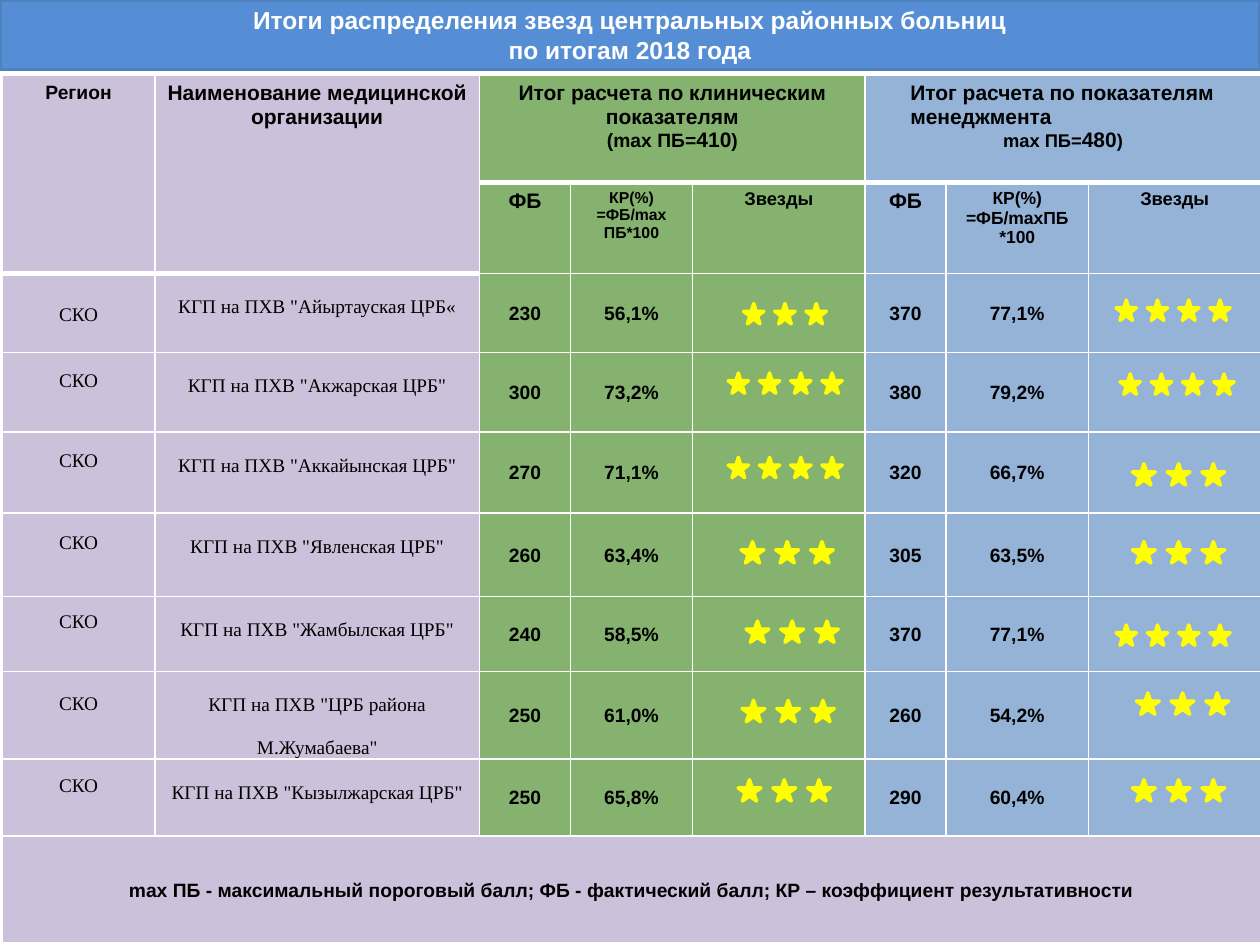
from dataclasses import dataclass

from lxml import etree
from pptx import Presentation
from pptx import util as u
from pptx.dml.color import RGBColor
from pptx.enum import shapes, text
from pptx.oxml.ns import qn

LILAC, GREEN, BLUE = "CCC1DA", "85B26E", "95B3D7"
WHITE, BLACK, YELLOW = "FFFFFF", "000000", "FFFF00"
SANS, SERIF = "Arial", "Times New Roman"
COLUMN_WIDTHS = (3.07, 6.55, 1.83, 2.46, 3.48, 1.63, 2.87, 3.48)
ROW_HEIGHTS = (2.16, 1.83, 1.6, 1.6, 1.63, 1.68, 1.52, 1.68, 1.55, 2.16)
COLUMN_FILLS = (LILAC,) * 2 + (GREEN,) * 3 + (BLUE,) * 3
HEADER_MARGINS = (0.25, 0.13, 0.25, 0.13)
REGION_MARGINS = (0.18, 0, 0.18, 0)
RAISED_MARGINS = (0.18, 0, 0.18, 0.54)
TIGHT_MARGINS = (0.03, 0.03, 0.03, 0)
MIDDLE, TOP = text.MSO_ANCHOR.MIDDLE, text.MSO_ANCHOR.TOP


@dataclass(frozen=True)
class Run:
    words: str
    size: float = 11
    font: str = SANS
    bold: bool = True
    color: str = BLACK


@dataclass(frozen=True)
class StarSize:
    width: float
    height: float
    step: float


SMALL = StarSize(0.41, 0.41, 0.63)
LARGE = StarSize(0.46, 0.43, 0.7)


@dataclass(frozen=True)
class Rating:
    """Score, percentage and row of stars; left and top are in centimetres."""
    score: str
    percent: str
    stars: int
    left: float
    top: float
    size: StarSize


@dataclass(frozen=True)
class Hospital:
    name: str
    clinical: Rating
    management: Rating


HOSPITALS = (
    Hospital('КГП на ПХВ "Айыртауская ЦРБ«',
             Rating("230", "56,1%", 3, 14.99, 6.12, SMALL),
             Rating("370", "77,1%", 4, 22.5, 6.05, SMALL)),
    Hospital('КГП на ПХВ "Акжарская ЦРБ"',
             Rating("300", "73,2%", 4, 14.68, 7.52, SMALL),
             Rating("380", "79,2%", 4, 22.58, 7.54, SMALL)),
    Hospital('КГП на ПХВ "Аккайынская ЦРБ"',
             Rating("270", "71,1%", 4, 14.68, 9.22, SMALL),
             Rating("320", "66,7%", 3, 22.83, 9.35, LARGE)),
    Hospital('КГП на ПХВ "Явленская ЦРБ"',
             Rating("260", "63,4%", 3, 14.94, 10.92, LARGE),
             Rating("305", "63,5%", 3, 22.83, 10.92, LARGE)),
    Hospital('КГП на ПХВ "Жамбылская ЦРБ"',
             Rating("240", "58,5%", 3, 15.04, 12.52, LARGE),
             Rating("370", "77,1%", 4, 22.5, 12.6, SMALL)),
    Hospital('КГП на ПХВ "ЦРБ района М.Жумабаева"',
             Rating("250", "61,0%", 3, 14.96, 14.12, LARGE),
             Rating("260", "54,2%", 3, 22.91, 13.97, LARGE)),
    Hospital('КГП на ПХВ "Кызылжарская ЦРБ"',
             Rating("250", "65,8%", 3, 14.88, 15.72, LARGE),
             Rating("290", "60,4%", 3, 22.83, 15.72, LARGE)),
)


def rgb(color: str) -> RGBColor:
    return RGBColor.from_string(color)


def paint(shape, fill: str, line: str) -> None:
    shape.shadow.inherit = False
    shape.fill.solid()
    shape.fill.fore_color.rgb = rgb(fill)
    shape.line.color.rgb = rgb(line)
    shape.line.width = u.Pt(2)


def add_run(paragraph, run: Run) -> None:
    piece = paragraph.add_run()
    piece.text = run.words
    piece.font.size = u.Pt(run.size)
    piece.font.name = run.font
    piece.font.bold = run.bold
    piece.font.color.rgb = rgb(run.color)


def write(cell, *lines: tuple[Run, ...], margins=HEADER_MARGINS, anchor=TOP, spacing=None) -> None:
    """Fill a cell with centred paragraphs, each given as its runs."""
    cell.margin_left, cell.margin_top, cell.margin_right, cell.margin_bottom = map(u.Cm, margins)
    cell.vertical_anchor = anchor
    for index, runs in enumerate(lines):
        frame = cell.text_frame
        paragraph = frame.add_paragraph() if index else frame.paragraphs[0]
        paragraph.alignment = text.PP_ALIGN.CENTER
        paragraph.line_spacing = spacing
        for run in runs:
            add_run(paragraph, run)


def style_cell(cell, fill: str, bottom_width: float) -> None:
    properties = cell._tc.get_or_add_tcPr()
    for side, width in (("L", 1), ("R", 1), ("T", 1), ("B", bottom_width)):
        border = etree.SubElement(properties, qn(f"a:ln{side}"), w=str(u.Pt(width)))
        solid = etree.SubElement(border, qn("a:solidFill"))
        etree.SubElement(solid, qn("a:srgbClr"), val=WHITE)
    cell.fill.solid()
    cell.fill.fore_color.rgb = rgb(fill)


def add_title(slide) -> None:
    banner = slide.shapes.add_shape(shapes.MSO_SHAPE.RECTANGLE, 0, 0, u.Cm(25.4), u.Cm(1.4))
    paint(banner, "558ED5", "4F81BD")
    banner.text_frame.vertical_anchor = MIDDLE
    paragraph = banner.text_frame.paragraphs[0]
    paragraph.alignment = text.PP_ALIGN.CENTER
    add_run(paragraph, Run("Итоги распределения звезд центральных районных больниц", 14, color=WHITE))
    paragraph.add_line_break()
    add_run(paragraph, Run("по итогам 2018 года", 14, color=WHITE))


def add_grid(slide):
    grid = slide.shapes.add_table(len(ROW_HEIGHTS), len(COLUMN_WIDTHS), u.Cm(0.05), u.Cm(1.52),
                                  u.Cm(sum(COLUMN_WIDTHS)), u.Cm(sum(ROW_HEIGHTS))).table
    grid.first_row = grid.horz_banding = False
    for column, width in zip(grid.columns, COLUMN_WIDTHS):
        column.width = u.Cm(width)
    for index, (row, height) in enumerate(zip(grid.rows, ROW_HEIGHTS)):
        row.height = u.Cm(height)
        for cell, fill in zip(row.cells, COLUMN_FILLS):
            style_cell(cell, fill, 1 if index else 3)
    for first, last in (((0, 0), (1, 0)), ((0, 1), (1, 1)), ((0, 2), (0, 4)),
                        ((0, 5), (0, 7)), ((9, 0), (9, 7))):
        grid.cell(*first).merge(grid.cell(*last))
    return grid


def write_header(grid) -> None:
    write(grid.cell(0, 0), (Run("Регион"),))
    write(grid.cell(0, 1), (Run("Наименование медицинской организации", 12),))
    write(grid.cell(0, 2), (Run("Итог расчета по клиническим показателям", 12),),
          (Run("(mах ПБ="), Run("410", 12), Run(")")))
    management = grid.cell(0, 5)
    write(management, (Run("Итог расчета по показателям менеджмента", 12),),
          (Run("mах ПБ=", 10.5), Run("480", 12), Run(")", 10.5)))
    heading = management.text_frame.paragraphs[0]
    heading.alignment = text.PP_ALIGN.LEFT
    heading._p.get_or_add_pPr().set("marL", str(u.Cm(0.66)))
    for column, formula, size in ((2, "=ФБ/mах ПБ*100", 9), (5, "=ФБ/mахПБ *100", 10)):
        write(grid.cell(1, column), (Run("ФБ", 12),))
        write(grid.cell(1, column + 1), (Run("КР(%)", size),), (Run(formula, size),))
        write(grid.cell(1, column + 2), (Run("Звезды", 10.5),))


def add_stars(slide, rating: Rating) -> None:
    group = slide.shapes.add_group_shape()
    size = rating.size
    for index in range(rating.stars):
        star = group.shapes.add_shape(
            shapes.MSO_SHAPE.STAR_5_POINT, u.Cm(rating.left + index * size.step),
            u.Cm(rating.top), u.Cm(size.width), u.Cm(size.height))
        paint(star, YELLOW, YELLOW)


def add_hospital(slide, grid, row: int, hospital: Hospital) -> None:
    write(grid.cell(row, 0), (Run("СКО", font=SERIF, bold=False),), anchor=MIDDLE, spacing=1.15,
          margins=REGION_MARGINS if row == 2 else RAISED_MARGINS)
    write(grid.cell(row, 1), (Run(hospital.name, font=SERIF, bold=False),),
          margins=TIGHT_MARGINS, spacing=2.0)
    for column, rating in ((2, hospital.clinical), (5, hospital.management)):
        for offset, value in enumerate((rating.score, rating.percent)):
            write(grid.cell(row, column + offset), (Run(value),),
                  margins=TIGHT_MARGINS, anchor=MIDDLE)
        add_stars(slide, rating)


def main() -> None:
    deck = Presentation()
    deck.slide_width, deck.slide_height = u.Cm(25.4), u.Cm(19.05)
    slide = deck.slides.add_slide(deck.slide_layouts[6])
    add_title(slide)
    grid = add_grid(slide)
    write_header(grid)
    for row, hospital in enumerate(HOSPITALS, start=2):
        add_hospital(slide, grid, row, hospital)
    legend = "mах ПБ - максимальный пороговый балл; ФБ - фактический балл; КР – коэффициент результативности"
    write(grid.cell(9, 0), (Run(legend),), margins=REGION_MARGINS, anchor=MIDDLE, spacing=1.15)
    deck.save("out.pptx")


if __name__ == "__main__":
    main()
